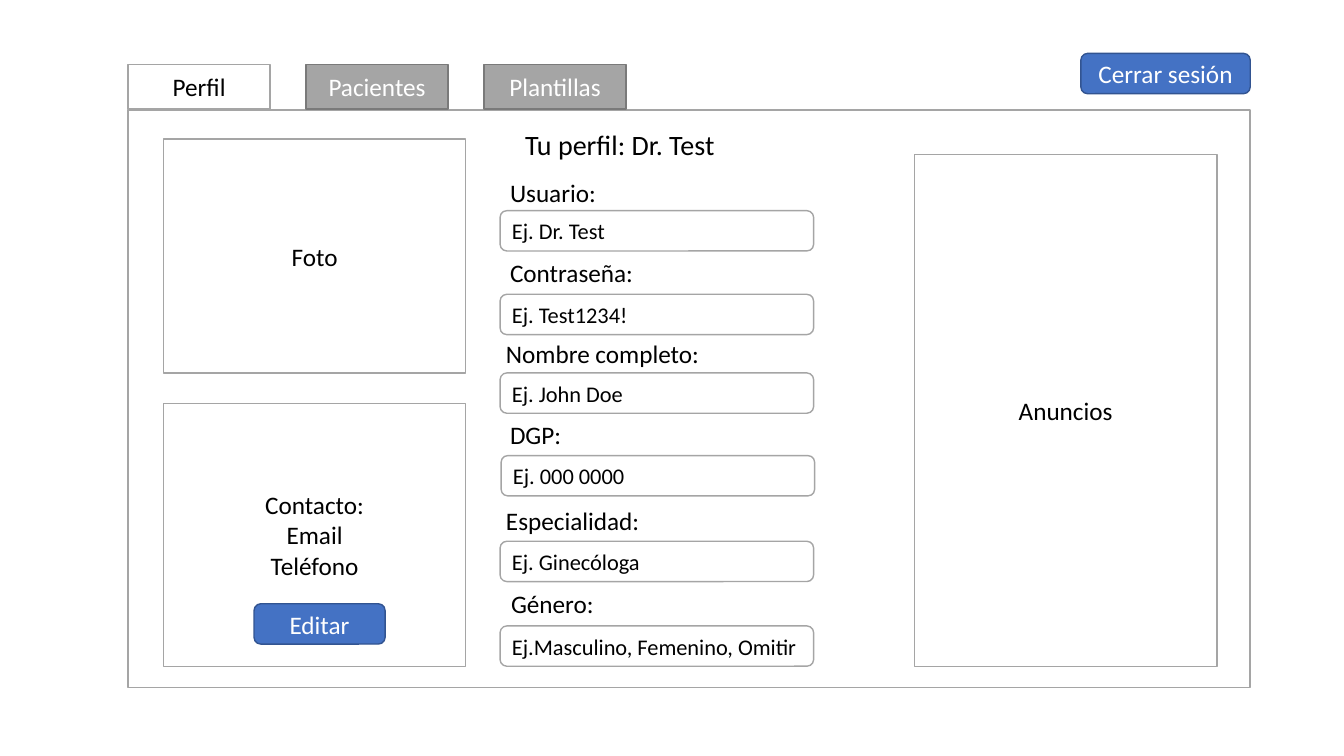
"""Build the doctor profile wireframe slide."""
from dataclasses import dataclass

from pptx import Presentation
from pptx.dml.color import RGBColor
from pptx.enum.shapes import MSO_SHAPE
from pptx.enum.text import MSO_ANCHOR, MSO_AUTO_SIZE, PP_ALIGN
from pptx.util import Inches, Pt

RECTANGLE = MSO_SHAPE.RECTANGLE
ROUNDED = MSO_SHAPE.ROUNDED_RECTANGLE
LEFT = PP_ALIGN.LEFT
CENTER = PP_ALIGN.CENTER
MIDDLE = MSO_ANCHOR.MIDDLE
GROW = MSO_AUTO_SIZE.SHAPE_TO_FIT_TEXT

FONT = "Calibri"
BLACK = "000000"
WHITE = "FFFFFF"
ROW_HEIGHT = 0.4
FIELD_WIDTH = 3.11
PANEL_WIDTH = 3
TAB_LEFT, TAB_TOP, TAB_WIDTH, TAB_HEIGHT, TAB_STEP = 1.27, 0.64, 1.41, 0.44, 1.765


@dataclass(frozen=True)
class Style:
    fill: str
    line: str
    color: str
    shape: MSO_SHAPE = RECTANGLE
    size: int = 18
    align: PP_ALIGN = CENTER


@dataclass(frozen=True)
class Block:
    left: float
    top: float
    width: float
    height: float
    style: Style
    lines: tuple[str, ...] = ()


@dataclass(frozen=True)
class Label:
    left: float
    top: float
    width: float
    text: str
    height: float = ROW_HEIGHT
    size: int = 18


@dataclass(frozen=True)
class Field:
    label: Label
    left: float
    top: float
    example: str


PANEL = Style(WHITE, "A5A5A5", BLACK)
TAB = Style("A5A5A5", "7A7A7A", WHITE)
BUTTON = Style("4472C4", "325491", WHITE, ROUNDED)
INPUT = Style(WHITE, "A5A5A5", BLACK, ROUNDED, 16, LEFT)

TITLE = Label(5.11, 1.22, 2.17, "Tu perfil: Dr. Test", 0.44, 20)
FIELDS = (
    Field(Label(4.96, 1.71, 1.35, "Usuario:"), 4.96, 2.09, "Ej. Dr. Test"),
    Field(Label(4.96, 2.5, 1.91, "Contraseña:"), 4.96, 2.92, "Ej. Test1234!"),
    Field(Label(4.92, 3.31, 2.36, "Nombre completo:"), 4.96, 3.7, "Ej. John Doe"),
    Field(Label(4.96, 4.11, 1.35, "DGP:"), 4.97, 4.52, "Ej. 000 0000"),
    Field(Label(4.92, 4.96, 2.03, "Especialidad:"), 4.96, 5.37, "Ej. Ginecóloga"),
    Field(Label(4.97, 5.79, 1.49, "Género:"), 4.96, 6.21,
          "Ej.Masculino, Femenino, Omitir"),
)
FRAME = Block(1.27, 1.09, 11.13, 5.73, PANEL)
PANELS = (
    Block(9.07, 1.53, PANEL_WIDTH, 5.08, PANEL, ("Anuncios",)),
    Block(1.62, 1.38, PANEL_WIDTH, 2.32, PANEL, ("Foto",)),
    Block(1.62, 4, PANEL_WIDTH, 2.61, PANEL, ("Contacto:", "Email", "Teléfono")),
)
TABS = (("Perfil", PANEL), ("Pacientes", TAB), ("Plantillas", TAB))
BUTTONS = (
    Block(2.52, 5.99, 1.3, ROW_HEIGHT, BUTTON, ("Editar",)),
    Block(10.72, 0.53, 1.68, ROW_HEIGHT, BUTTON, ("Cerrar sesión",)),
)


def rgb(value: str) -> RGBColor:
    return RGBColor.from_string(value)


def write(frame, lines: tuple[str, ...], size: int, color: str,
          align: PP_ALIGN) -> None:
    for index, line in enumerate(lines):
        para = frame.paragraphs[0] if index == 0 else frame.add_paragraph()
        para.alignment = align
        span = para.add_run()
        span.text = line
        for name, value in {"name": FONT, "size": Pt(size)}.items():
            setattr(span.font, name, value)
        span.font.color.rgb = rgb(color)


def draw_block(page, block: Block) -> None:
    style = block.style
    box = page.shapes.add_shape(
        style.shape, Inches(block.left), Inches(block.top),
        Inches(block.width), Inches(block.height))
    box.shadow.inherit = False
    box.fill.solid()
    box.fill.fore_color.rgb = rgb(style.fill)
    box.line.color.rgb = rgb(style.line)
    box.line.width = Pt(1)
    for name, value in {"word_wrap": True, "vertical_anchor": MIDDLE}.items():
        setattr(box.text_frame, name, value)
    write(box.text_frame, block.lines, style.size, style.color, style.align)


def draw_label(page, label: Label) -> None:
    box = page.shapes.add_textbox(
        Inches(label.left), Inches(label.top),
        Inches(label.width), Inches(label.height))
    for name, value in {"word_wrap": True, "auto_size": GROW}.items():
        setattr(box.text_frame, name, value)
    write(box.text_frame, (label.text,), label.size, BLACK, LEFT)


def main() -> None:
    deck = Presentation()
    deck.slide_width, deck.slide_height = Inches(13.33), Inches(7.5)
    page = deck.slides.add_slide(deck.slide_layouts[6])
    draw_block(page, FRAME)
    for field in FIELDS:
        draw_block(page, Block(field.left, field.top, FIELD_WIDTH, ROW_HEIGHT,
                               INPUT, (field.example,)))
    for label in (*(field.label for field in FIELDS), TITLE):
        draw_label(page, label)
    tabs = tuple(
        Block(TAB_LEFT + index * TAB_STEP, TAB_TOP, TAB_WIDTH, TAB_HEIGHT,
              style, (name,))
        for index, (name, style) in enumerate(TABS))
    for block in (*PANELS, *tabs, *BUTTONS):
        draw_block(page, block)
    deck.save("out.pptx")


if __name__ == "__main__":
    main()
